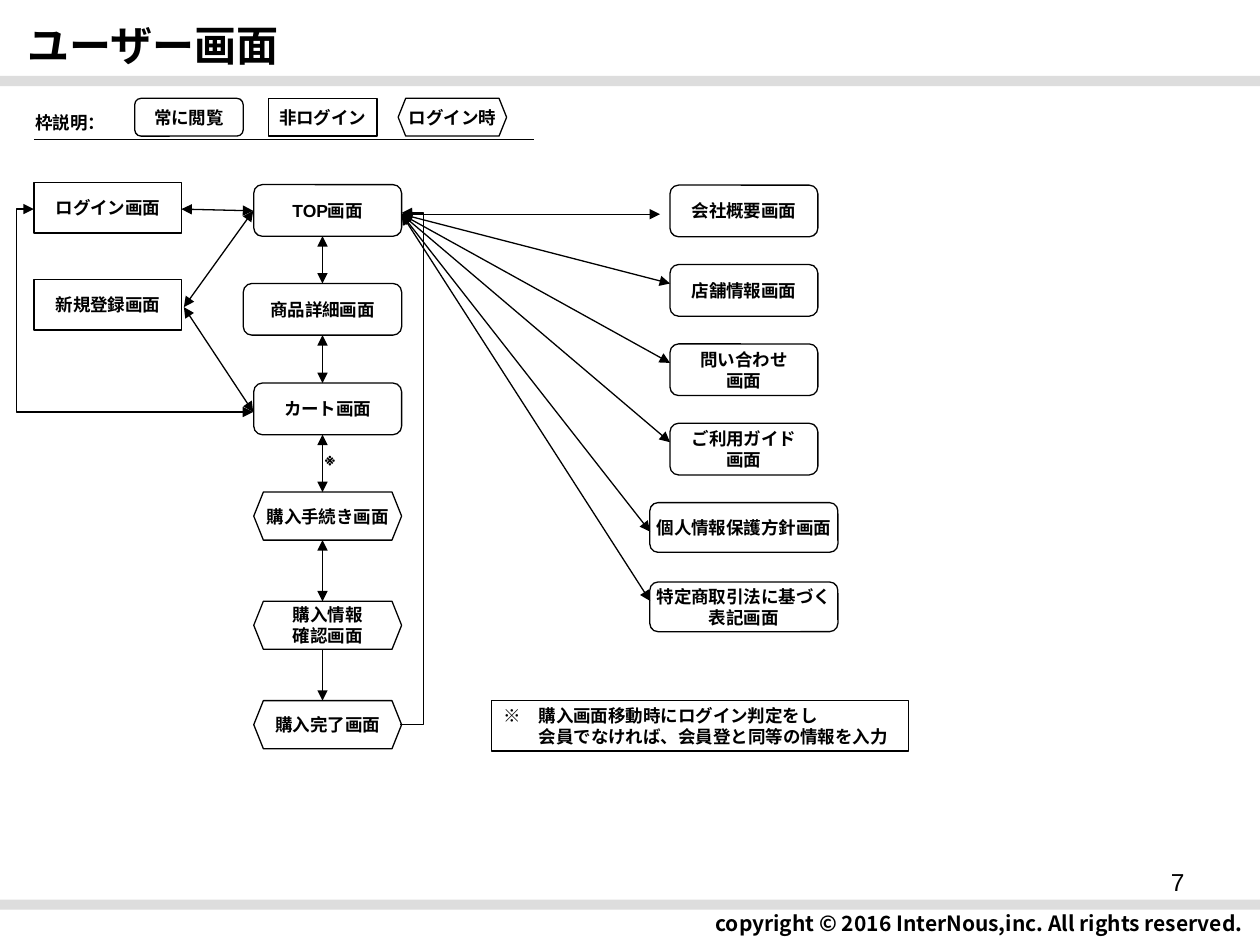
"""Build the screen-flow slide for the user-facing pages of a shop."""
from lxml import etree
from pptx import Presentation
from pptx.dml.color import RGBColor
from pptx.enum.shapes import MSO_CONNECTOR, MSO_SHAPE
from pptx.enum.text import MSO_ANCHOR, PP_ALIGN
from pptx.oxml.ns import qn
from pptx.util import Pt

ALWAYS = MSO_SHAPE.ROUNDED_RECTANGLE
LOGGED_OUT = MSO_SHAPE.RECTANGLE
LOGGED_IN = MSO_SHAPE.HEXAGON
STRAIGHT, ELBOW = MSO_CONNECTOR.STRAIGHT, MSO_CONNECTOR.ELBOW
LEFT, CENTER, RIGHT = PP_ALIGN.LEFT, PP_ALIGN.CENTER, PP_ALIGN.RIGHT
TOP, MIDDLE = MSO_ANCHOR.TOP, MSO_ANCHOR.MIDDLE

THEME = {
    "ink": RGBColor(0, 0, 0), "paper": RGBColor(255, 255, 255),
    "band": RGBColor(0xDD, 0xDD, 0xDD),
    "body": "Arial", "heading": "Noto Sans CJK JP",
    "title": 24, "page": 14, "footer": 12, "label": 10, "line": 0.75,
}

TITLE = "ユーザー画面"
FOOTER = "copyright © 2016 InterNous,inc. All rights reserved."
PAGE = "7"
LEGEND_LABEL = "枠説明："
LEGEND = [("常に閲覧", ALWAYS, 77), ("非ログイン", LOGGED_OUT, 153.4),
          ("ログイン時", LOGGED_IN, 227.5)]
ACCOUNT = [("ログイン画面", 104.4), ("新規登録画面", 159.8)]
PURCHASE = [
    ("TOP画面", ALWAYS, 145, 105.5, 84.5, 29.5),
    ("商品詳細画面", ALWAYS, 139, 162, 90.5, 29.5),
    ("カート画面", ALWAYS, 145, 218.9, 84.5, 29.5),
    ("購入手続き画面", LOGGED_IN, 145, 281.2, 84.5, 27.5),
    ("購入情報\n確認画面", LOGGED_IN, 145, 343.6, 84.5, 27.5),
    ("購入完了画面", LOGGED_IN, 145, 400.4, 84.5, 27.5),
]
INFORMATION = [
    ("会社概要画面", 84.5, 29.5, (377.2, 122.4)),
    ("店舗情報画面", 84.5, 29.5, (382.9, 162)),
    ("問い合わせ\n画面", 84.5, 29.5, (382.9, 207.4)),
    ("ご利用ガイド\n画面", 84.5, 29.5, (382.9, 252.7)),
    ("個人情報保護方針画面", 107.5, 28.4, (371.5, 303.8)),
    ("特定商取引法に基づく\n表記画面", 107.5, 28.4, (371.5, 343.4)),
]
INFORMATION_CENTER, INFORMATION_TOP, INFORMATION_STEP = 425.1, 105.8, 45.36
NOTE_MARK = "※"
NOTE = "※　購入画面移動時にログイン判定をし\n会員でなければ、会員登と同等の情報を入力"
FLOW_X = 184.3
HUB = (229.5, 122.4)
TOP_ENTRY, CART_ENTRY = (144.7, 120.5), (144.7, 235.5)
LOGIN_EXIT, REGISTER_EXIT = (103.7, 119.5), (105.1, 175.5)


def write(frame, text, size=THEME["label"], font=THEME["body"], bold=True,
          align=LEFT, anchor=TOP, wrap=False, later_indent=0):
    """Fill a text frame, one paragraph a line."""
    frame.word_wrap = wrap
    frame.vertical_anchor = anchor
    for index, line in enumerate(text.split("\n")):
        paragraph = frame.add_paragraph() if index else frame.paragraphs[0]
        paragraph.alignment = align
        if index and later_indent:
            paragraph._p.get_or_add_pPr().set("marL", str(Pt(later_indent)))
        run = paragraph.add_run()
        run.text = line
        run.font.size, run.font.name, run.font.bold = Pt(size), font, bold
        run.font.color.rgb = THEME["ink"]
        east_asian = etree.SubElement(run._r.get_or_add_rPr(), qn("a:ea"))
        east_asian.set("typeface", THEME["heading"])


def add_text(slide, text, x, y, w, h, **style):
    """Place free-standing text."""
    holder = slide.shapes.add_textbox(Pt(x), Pt(y), Pt(w), Pt(h))
    write(holder.text_frame, text, **style)


def add_box(slide, kind, x, y, w, h, text="", fill=THEME["paper"], outlined=True, **style):
    """Place a filled shape, outlined and labelled as asked."""
    box = slide.shapes.add_shape(kind, Pt(x), Pt(y), Pt(w), Pt(h))
    box.shadow.inherit = False
    box.fill.solid()
    box.fill.fore_color.rgb = fill
    if kind == LOGGED_IN:
        box.adjustments[0] = 0.2
    if outlined:
        box.line.color.rgb = THEME["ink"]
        box.line.width = Pt(THEME["line"])
    else:
        box.line.fill.background()
    if text:
        write(box.text_frame, text, **{"align": CENTER, "anchor": MIDDLE, **style})


def add_link(slide, start, end, ends=("headEnd", "tailEnd"), via_x=None):
    """Join two points, bending through via_x when it is given."""
    kind = STRAIGHT if via_x is None else ELBOW
    link = slide.shapes.add_connector(kind, *(Pt(v) for v in (*start, *end)))
    link.line.color.rgb = THEME["ink"]
    link.line.width = Pt(THEME["line"])
    properties = link._element.spPr
    for name in ends:
        etree.SubElement(link.line._get_or_add_ln(), qn(f"a:{name}")).set("type", "triangle")
    etree.SubElement(properties, qn("a:effectLst"))
    if via_x is not None:
        bend = round((via_x - start[0]) / (end[0] - start[0]) * 100000)
        guides = properties.find(qn("a:prstGeom")).find(qn("a:avLst"))
        guide = etree.SubElement(guides, qn("a:gd"))
        guide.set("name", "adj1")
        guide.set("fmla", f"val {bend}")


def add_frame(slide):
    """Add the title, bands, footer and page number."""
    heading = {"font": THEME["heading"], "anchor": MIDDLE}
    add_text(slide, TITLE, 8.6, 3.6, 505, 44, size=THEME["title"], **heading)
    add_text(slide, FOOTER, 212.4, 514, 505, 26.6, size=THEME["footer"], align=RIGHT, **heading)
    for y in (43.4, 514):
        add_box(slide, MSO_SHAPE.RECTANGLE, 0, y, 723, 5.8, fill=THEME["band"], outlined=False)
    add_text(slide, PAGE, 516.2, 491.8, 167.8, 37.4, size=THEME["page"], bold=False,
             align=RIGHT, wrap=True)


def add_screens(slide):
    """Add the legend, every screen and the note."""
    add_text(slide, LEGEND_LABEL, 13, 60.5, 54, 19.4)
    for text, kind, x in LEGEND:
        add_box(slide, kind, x, 56.2, 62, 21.6, text)
    for text, y in ACCOUNT:
        add_box(slide, LOGGED_OUT, 19.4, y, 84.5, 28.8, text)
    for text, kind, *place in PURCHASE:
        add_box(slide, kind, *place, text)
    for row, (text, w, h, _) in enumerate(INFORMATION):
        y = INFORMATION_TOP + row * INFORMATION_STEP
        add_box(slide, ALWAYS, INFORMATION_CENTER - w / 2, y, w, h, text)
    add_box(slide, LOGGED_OUT, 280.8, 400.4, 238.3, 28.8, NOTE, align=LEFT, later_indent=20)
    add_text(slide, NOTE_MARK, 178.6, 252.7, 20.9, 19.4, wrap=True)


def add_links(slide):
    """Add the legend rule and the moves between screens."""
    add_link(slide, (19.4, 79.9), (305.3, 79.9), ends=())
    steps = list(zip(PURCHASE, PURCHASE[1:]))
    for upper, lower in steps:
        ends = ("tailEnd",) if lower is PURCHASE[-1] else ("headEnd", "tailEnd")
        add_link(slide, (FLOW_X, upper[3] + upper[5]), (FLOW_X, lower[3]), ends)
    for *_, target in INFORMATION:
        add_link(slide, HUB, target)
    add_link(slide, LOGIN_EXIT, TOP_ENTRY)
    for entry in (TOP_ENTRY, CART_ENTRY):
        add_link(slide, entry, REGISTER_EXIT)
    add_link(slide, CART_ENTRY, (19.4, 119.5), via_x=9.5)
    add_link(slide, (228.8, 414.1), (229.5, 121.7), ("tailEnd",), via_x=242)


def main():
    """Assemble and save the slide."""
    deck = Presentation()
    deck.slide_width, deck.slide_height = Pt(720), Pt(540)
    slide = deck.slides.add_slide(deck.slide_layouts[6])
    add_frame(slide)
    add_screens(slide)
    add_links(slide)
    deck.save("out.pptx")


if __name__ == "__main__":
    main()
